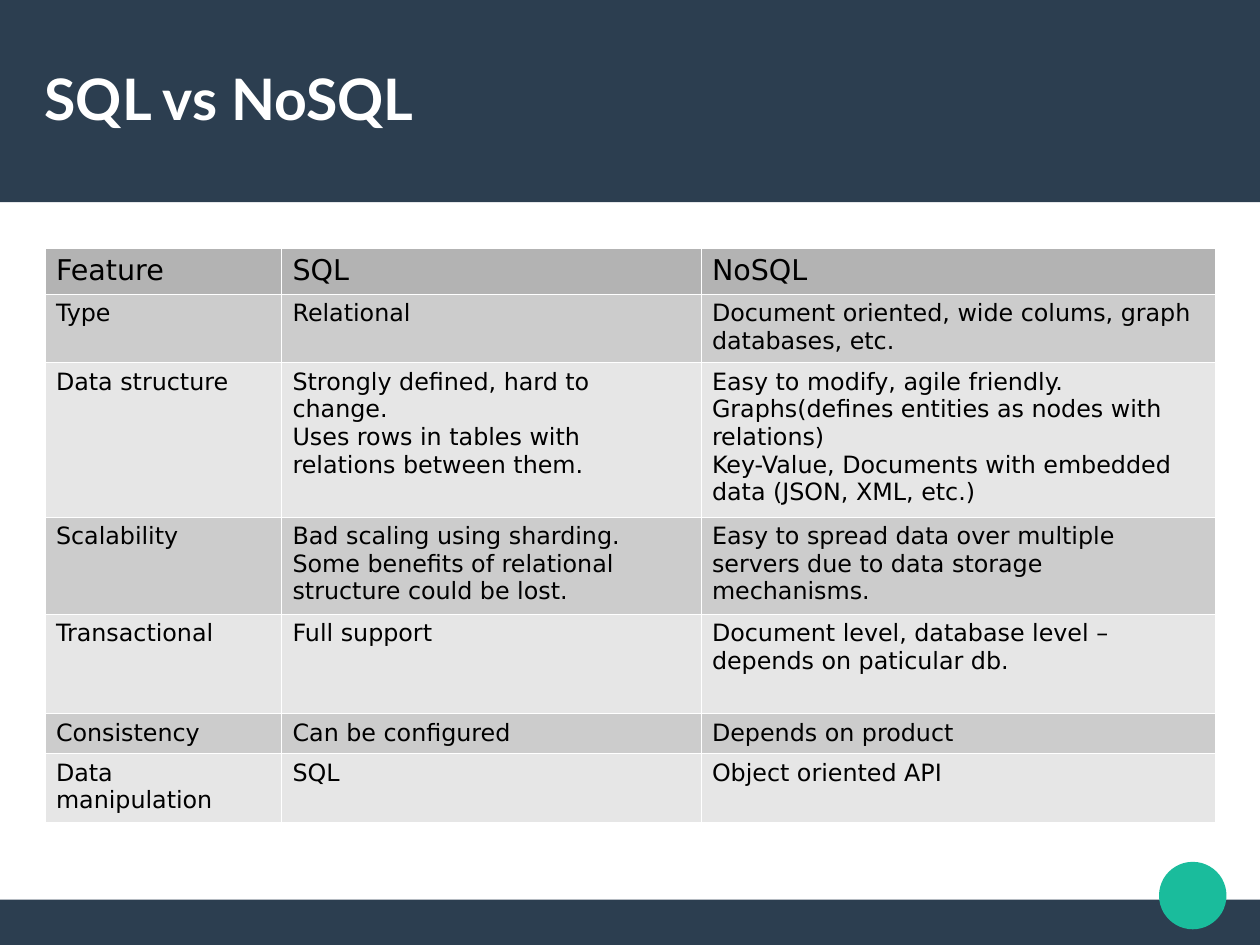
import dataclasses

import lxml.etree
import pptx
import pptx.dml.color
import pptx.enum.shapes
import pptx.enum.text
import pptx.oxml.ns
import pptx.util

Inches = pptx.util.Inches
Pt = pptx.util.Pt
RGBColor = pptx.dml.color.RGBColor
Shapes = pptx.enum.shapes.MSO_SHAPE

NAVY = RGBColor(0x2C, 0x3E, 0x50)
TEAL = RGBColor(0x1A, 0xBC, 0x9C)
WHITE = RGBColor(0xFF, 0xFF, 0xFF)
BLACK = RGBColor(0, 0, 0)
HEADER_GRAY = RGBColor(0xB3, 0xB3, 0xB3)
BAND_GRAYS = (RGBColor(0xE6, 0xE6, 0xE6), RGBColor(0xCC, 0xCC, 0xCC))

# The slide measures 28 by 21 centimetres
SLIDE_WIDTH, SLIDE_HEIGHT = 28 / 2.54, 21 / 2.54
MARGIN = 0.39
FOOTER_TOP = 7.87
COLUMN_WIDTHS = (2.07, 3.67, 4.5)


@dataclasses.dataclass
class Decoration:
    kind: Shapes
    left: float
    top: float
    width: float
    height: float
    color: RGBColor


@dataclasses.dataclass
class FeatureRow:
    height: float
    texts: tuple[str, str, str]


DECORATIONS = (
    Decoration(Shapes.RECTANGLE, 0, FOOTER_TOP, SLIDE_WIDTH,
               SLIDE_HEIGHT - FOOTER_TOP, NAVY),
    Decoration(Shapes.RECTANGLE, 0, 0, SLIDE_WIDTH, 1.77, NAVY),
    Decoration(Shapes.OVAL, 10.14, 7.54, 0.59, 0.59, TEAL),
)

FEATURE_ROWS = (
    FeatureRow(0.39, ("Feature", "SQL", "NoSQL")),
    FeatureRow(0.58, ("Type", "Relational ",
                      "Document oriented, wide colums, graph databases, etc.")),
    FeatureRow(1.31, ("Data structure",
                      "Strongly defined, hard to change. \n"
                      "Uses rows in tables with relations between them.",
                      "Easy to modify, agile friendly.\n"
                      "Graphs(defines entities as nodes with relations)\n"
                      "Key-Value, Documents with embedded data (JSON, XML, etc.)")),
    FeatureRow(0.83, ("Scalability",
                      "Bad scaling using sharding.\n"
                      "Some benefits of relational structure could be lost.",
                      "Easy to spread data over multiple servers "
                      "due to data storage mechanisms.")),
    FeatureRow(0.87, ("Transactional", "Full support ",
                      "Document level, database level – depends on paticular db.")),
    FeatureRow(0.34, ("Consistency", "Can be configured ", "Depends on product")),
    FeatureRow(0.58, ("Data manipulation", "SQL", "Object oriented API")),
)


def set_attributes(target: object, values: dict) -> None:
    for name, value in values.items():
        setattr(target, name, value)


def format_text(text_frame, name: str, size: int, color: RGBColor, bold: bool) -> None:
    for paragraph in text_frame.paragraphs:
        paragraph.line_spacing = 1.0
        for run in paragraph.runs:
            set_attributes(run.font, {"name": name, "size": Pt(size), "bold": bold})
            run.font.color.rgb = color


def draw_decoration(slide, decoration: Decoration) -> None:
    shape = slide.shapes.add_shape(
        decoration.kind, Inches(decoration.left), Inches(decoration.top),
        Inches(decoration.width), Inches(decoration.height))
    shape.shadow.inherit = False
    shape.fill.solid()
    shape.fill.fore_color.rgb = decoration.color
    shape.line.fill.background()


def draw_title(slide, text: str) -> None:
    title = slide.shapes.add_textbox(
        Inches(MARGIN), Inches(0.33), Inches(10.23), Inches(1.05))
    set_attributes(title.text_frame, {
        "text": text, "word_wrap": True,
        "vertical_anchor": pptx.enum.text.MSO_ANCHOR.MIDDLE,
        "margin_left": 0, "margin_right": 0, "margin_top": 0, "margin_bottom": 0})
    format_text(title.text_frame, "Lato", 36, WHITE, True)


def add_borders(cell) -> None:
    qualified = pptx.oxml.ns.qn
    properties = cell._tc.get_or_add_tcPr()
    for side in ("a:lnL", "a:lnR", "a:lnT", "a:lnB"):
        line = lxml.etree.SubElement(properties, qualified(side), w=str(Pt(0.06)))
        fill = lxml.etree.SubElement(line, qualified("a:solidFill"))
        lxml.etree.SubElement(fill, qualified("a:srgbClr"), val=str(WHITE))


def draw_cell(cell, text: str, size: int, color: RGBColor) -> None:
    set_attributes(cell, {
        "text": text,
        "margin_left": Inches(0.1), "margin_right": Inches(0.1),
        "margin_top": Inches(0.05), "margin_bottom": Inches(0.05)})
    format_text(cell.text_frame, "DejaVu Sans", size, BLACK, False)
    add_borders(cell)
    cell.fill.solid()
    cell.fill.fore_color.rgb = color


def draw_table(slide, rows: tuple[FeatureRow, ...]) -> None:
    table = slide.shapes.add_table(
        len(rows), len(COLUMN_WIDTHS), Inches(MARGIN), Inches(2.17),
        Inches(sum(COLUMN_WIDTHS)), Inches(sum(row.height for row in rows))).table
    for column, width in zip(table.columns, COLUMN_WIDTHS):
        column.width = Inches(width)
    for index, row in enumerate(rows):
        table.rows[index].height = Inches(row.height)
        size = 15 if index else 18
        color = BAND_GRAYS[index % 2] if index else HEADER_GRAY
        for cell, text in zip(table.rows[index].cells, row.texts):
            draw_cell(cell, text, size, color)


presentation = pptx.Presentation()
presentation.slide_width = Inches(SLIDE_WIDTH)
presentation.slide_height = Inches(SLIDE_HEIGHT)
slide = presentation.slides.add_slide(presentation.slide_layouts[6])

# Bands and accent circle
for decoration in DECORATIONS:
    draw_decoration(slide, decoration)

# Title and comparison table
draw_title(slide, "SQL vs NoSQL")
draw_table(slide, FEATURE_ROWS)

presentation.save("out.pptx")
